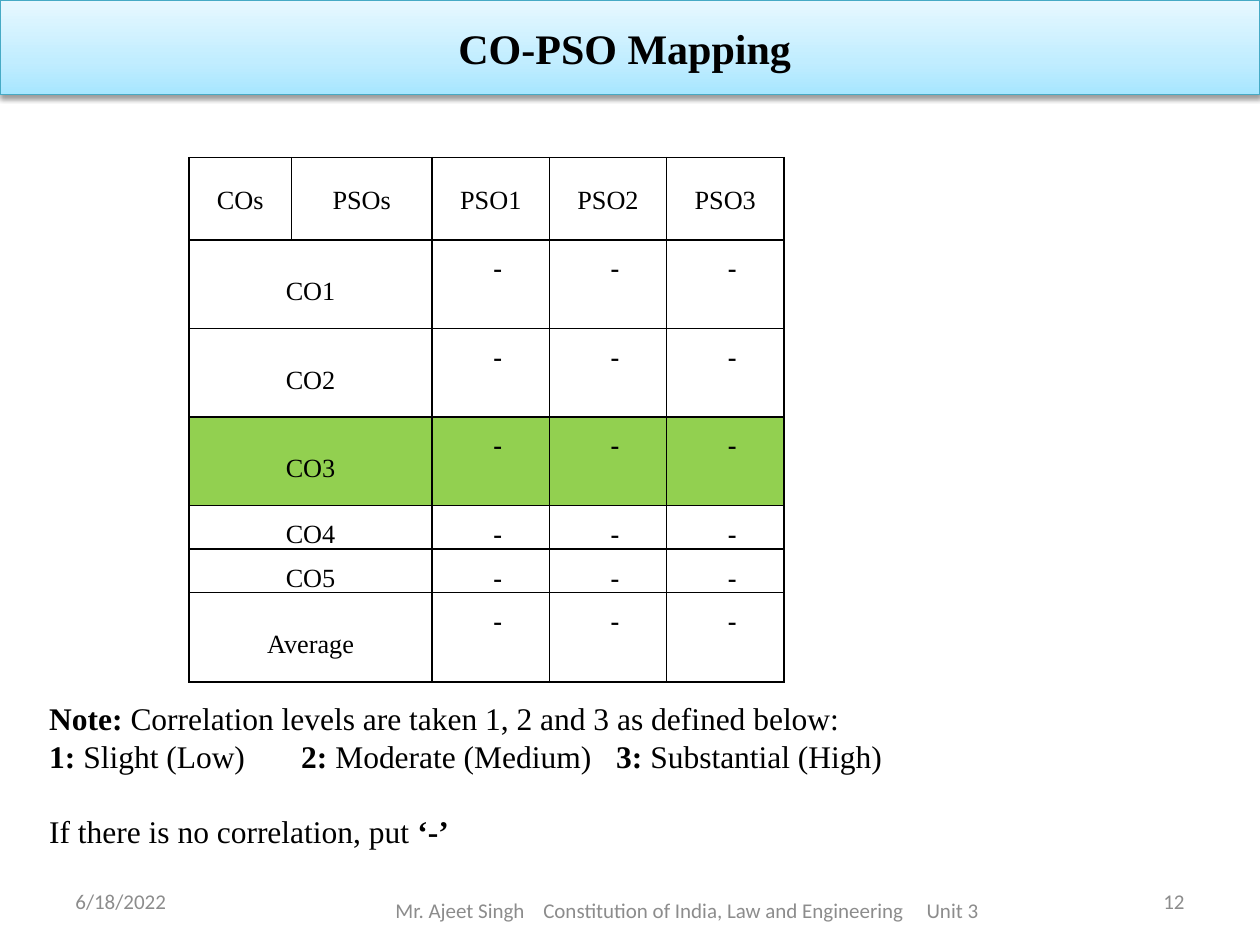
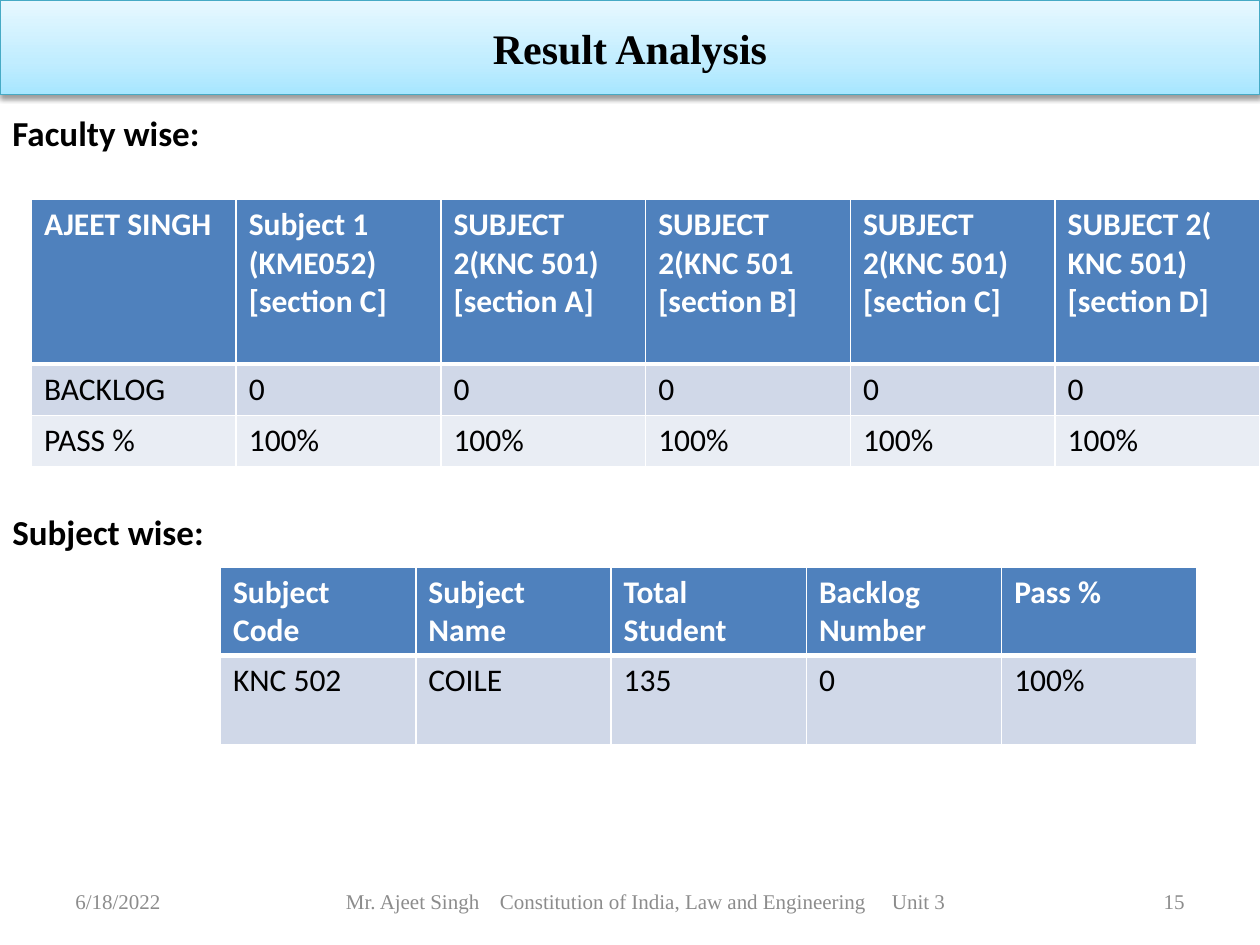
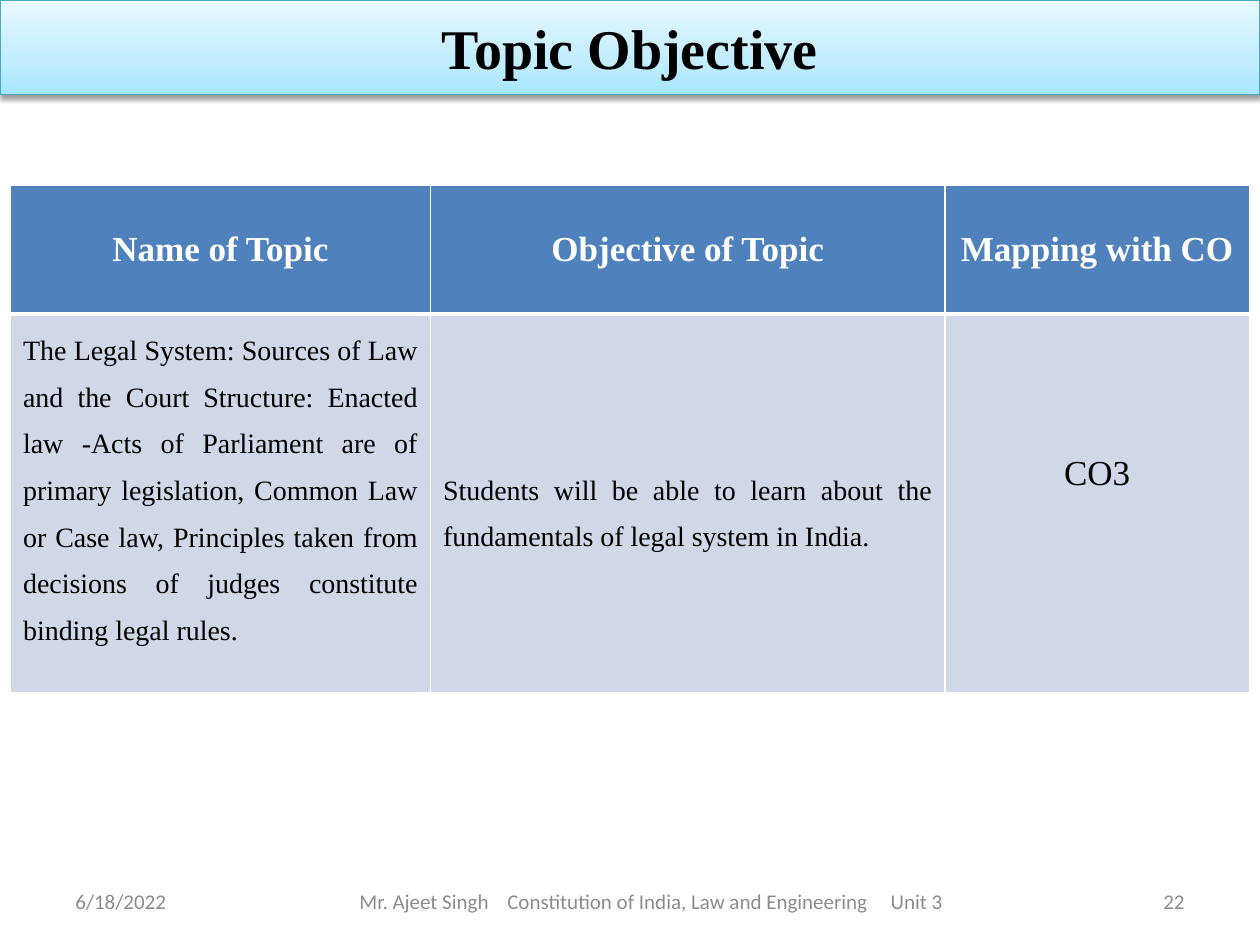
from dataclasses import dataclass, replace
from typing import Any, NamedTuple, Optional, Sequence, Union

from lxml.etree import SubElement
from pptx import Presentation
from pptx.dml.color import RGBColor
from pptx.enum.shapes import MSO_SHAPE
from pptx.enum.text import MSO_ANCHOR, PP_ALIGN
from pptx.oxml.ns import qn
from pptx.util import Pt


@dataclass(frozen=True)
class Theme:
    """Colours, fonts and type sizes of the deck."""

    serif: str = "Times New Roman"
    sans: str = "Calibri"
    black: str = "000000"
    white: str = "FFFFFF"
    grey: str = "8C8C8C"
    green: str = "92D050"
    header: str = "4F81BD"
    band_dark: str = "D0D8E8"
    band_light: str = "E9EDF4"
    title_line: str = "46AAC5"
    title_stops: tuple = ((0, "A7E6FF"), (35, "C1EDFF"), (100, "E7F8FF"))
    title_size: float = 24
    large_title_size: float = 32
    heading_size: float = 20
    text_size: float = 18
    topic_size: float = 16
    mapping_size: float = 15
    footer_size: float = 12


THEME = Theme()


class Frame(NamedTuple):
    """Place of an object, in points."""

    left: float
    top: float
    width: float
    height: float


class Span(NamedTuple):
    """Piece of text with its own weight."""

    text: str
    bold: bool = False


class Footer(NamedTuple):
    """Footer of one slide."""

    font: str
    course: Frame
    inset: float
    tabs: Sequence[float]
    number: str


@dataclass(frozen=True)
class TextStyle:
    """Look of the text in a box or cell, and of the cell's fill."""

    font: str = THEME.sans
    size: float = THEME.text_size
    color: str = THEME.black
    bold: bool = False
    align: PP_ALIGN = PP_ALIGN.LEFT
    anchor: MSO_ANCHOR = MSO_ANCHOR.TOP
    spacing: Optional[float] = None
    indent: float = 0
    tabs: Sequence[float] = ()
    margins: Sequence[float] = (7.2, 3.6, 7.2, 3.6)
    fill: Optional[str] = None


Line = Union[str, Sequence[Span]]


class Entry(NamedTuple):
    """Text of a table cell with its style."""

    text: str
    style: TextStyle


HEADER = TextStyle(color=THEME.white, bold=True, fill=THEME.header)
BODY = TextStyle(fill=THEME.band_dark)
SIDES = ("L", "R", "T", "B")


def assign(target: Any, values: dict) -> None:
    """Set every attribute named in the values."""
    for name, value in values.items():
        setattr(target, name, value)


def margin_values(margins: Sequence[float]) -> dict:
    """Name the four margins in left, top, right, bottom order."""
    names = ("margin_left", "margin_top", "margin_right", "margin_bottom")
    return {name: Pt(value) for name, value in zip(names, margins)}


def add_color(parent: Any, color: str) -> Any:
    """Append a plain colour element."""
    return SubElement(parent, qn("a:srgbClr"), val=color)


def write_lines(text_frame: Any, lines: Sequence[Line], style: TextStyle) -> None:
    """Write one paragraph per line in the given style."""
    for index, line in enumerate(lines):
        para = text_frame.add_paragraph() if index else text_frame.paragraphs[0]
        properties = para._p.get_or_add_pPr()
        if style.indent:
            properties.set("marL", str(Pt(style.indent)))
        if style.tabs:
            tab_list = SubElement(properties, qn("a:tabLst"))
            for stop in style.tabs:
                SubElement(tab_list, qn("a:tab"), pos=str(Pt(stop)), algn="l")
        assign(para, {"alignment": style.align, "line_spacing": style.spacing})
        spans = [Span(line, style.bold)] if isinstance(line, str) else line
        for span in spans:
            run = para.add_run()
            run.text = span.text
            assign(run.font, {"name": style.font, "size": Pt(style.size), "bold": span.bold})
            run.font.color.rgb = RGBColor.from_string(style.color)


def add_text(page: Any, frame: Frame, lines: Sequence[Line], style: TextStyle) -> Any:
    """Add a wrapping text box."""
    box = page.shapes.add_textbox(*map(Pt, frame))
    values = {"word_wrap": True, "vertical_anchor": style.anchor}
    assign(box.text_frame, {**values, **margin_values(style.margins)})
    write_lines(box.text_frame, lines, style)
    return box


def add_title(page: Any, title: str, size: float = THEME.title_size) -> None:
    """Add the gradient title band."""
    band = page.shapes.add_shape(MSO_SHAPE.RECTANGLE, *map(Pt, (0, 0, 720, 54)))
    band.fill.gradient()
    band.fill.gradient_angle = 90
    properties = band._element.spPr
    stops = properties.find(qn("a:gradFill")).find(qn("a:gsLst"))
    for stop in list(stops):
        stops.remove(stop)
    for position, color in THEME.title_stops:
        add_color(SubElement(stops, qn("a:gs"), pos=str(position * 1000)), color)
    band.line.color.rgb = RGBColor.from_string(THEME.title_line)
    band.line.width = Pt(0.75)
    band.shadow.inherit = False
    shadow = SubElement(
        properties.find(qn("a:effectLst")), qn("a:outerShdw"),
        blurRad=str(Pt(3.1)), dist=str(Pt(1.6)), dir="5400000", rotWithShape="0",
    )
    SubElement(add_color(shadow, THEME.black), qn("a:alpha"), val="38000")
    assign(band.text_frame, {"word_wrap": True, "vertical_anchor": MSO_ANCHOR.MIDDLE})
    style = TextStyle(font=THEME.serif, size=size, bold=True, align=PP_ALIGN.CENTER)
    write_lines(band.text_frame, [title], style)


def add_footer(page: Any, footer: Footer) -> None:
    """Add the date, the course line and the slide number."""
    style = TextStyle(font=footer.font, size=THEME.footer_size, color=THEME.grey,
                      anchor=MSO_ANCHOR.MIDDLE)
    course = replace(style, tabs=footer.tabs, margins=(footer.inset, 3.6, 0, 3.6))
    add_text(page, Frame(36, 500.4, 168, 28.8), ["6/18/2022"], style)
    add_text(page, footer.course,
             ["Mr. Ajeet Singh\tConstitution of India, Law and Engineering\tUnit 3"], course)
    add_text(page, Frame(516, 500.4, 168, 28.8), [footer.number],
             replace(style, align=PP_ALIGN.RIGHT))


def set_borders(cell: Any, color: str, widths: dict) -> None:
    """Draw the four borders of a cell, one point wide unless stated."""
    properties = cell._tc.get_or_add_tcPr()
    for side in SIDES:
        line = SubElement(properties, qn(f"a:ln{side}"), w=str(Pt(widths.get(side, 1))))
        add_color(SubElement(line, qn("a:solidFill")), color)


def add_grid(
    page: Any,
    corner: tuple[float, float],
    columns: Sequence[float],
    heights: Sequence[float],
    rows: Sequence[Sequence[Optional[Entry]]],
    border: str = THEME.white,
    header_rule: float = 3,
) -> Any:
    """Add a table; an empty entry joins the cell to its left neighbour."""
    frame = Frame(*corner, sum(columns), sum(heights))
    table = page.shapes.add_table(len(rows), len(columns), *map(Pt, frame)).table
    assign(table, {"first_row": False, "horz_banding": False})
    for column, width in zip(table.columns, columns):
        column.width = Pt(width)
    for row, height in zip(table.rows, heights):
        row.height = Pt(height)
    rules = {0: {"B": header_rule}, 1: {"T": header_rule}}
    for row_index, entries in enumerate(rows):
        for column_index, entry in enumerate(entries):
            cell = table.cell(row_index, column_index)
            set_borders(cell, border, rules.get(row_index, {}))
            if entry is None:
                table.cell(row_index, column_index - 1).merge(cell)
                continue
            style = entry.style
            assign(cell, {"vertical_anchor": style.anchor, **margin_values(style.margins)})
            if style.fill:
                cell.fill.solid()
                cell.fill.fore_color.rgb = RGBColor.from_string(style.fill)
            else:
                cell.fill.background()
            write_lines(cell.text_frame, entry.text.split("\n"), style)
    return table


def style_row(texts: Sequence[str], style: TextStyle) -> list[Entry]:
    """Give every text of a row the same style."""
    return [Entry(text, style) for text in texts]


def build_mapping(page: Any) -> None:
    """Build the slide that maps course outcomes to programme outcomes."""
    add_title(page, "CO-PSO Mapping ")
    heading = TextStyle(font=THEME.serif, size=THEME.mapping_size, align=PP_ALIGN.CENTER,
                        anchor=MSO_ANCHOR.MIDDLE, spacing=1.15, margins=(5, 0, 5, 0))
    rows = [style_row(["COs", "PSOs", "PSO1", "PSO2", "PSO3"], heading)]
    fills = {"CO1": THEME.white, "CO2": THEME.white, "CO3": THEME.green}
    for outcome in ("CO1", "CO2", "CO3", "CO4", "CO5", "Average"):
        label = replace(heading, spacing=1.5, fill=fills.get(outcome))
        dash = replace(label, bold=True, indent=8, anchor=MSO_ANCHOR.TOP)
        rows.append([Entry(outcome, label), None, *style_row(["-"] * 3, dash)])
    add_grid(page, (108, 90), [58.5, 80.5] + [67] * 3,
             [47.2] + [50.6] * 3 + [24.6] * 2 + [51], rows, THEME.black, 1)
    note = [
        [Span("Note: ", True),
         Span("Correlation levels are taken 1, 2 and 3 as defined below:")],
        [Span("1: ", True), Span("Slight (Low)"), Span("\t2: ", True),
         Span("Moderate (Medium)"), Span("\t3: ", True), Span("Substantial (High)")],
        [Span("If there is no correlation, put"), Span(" ‘-’", True)],
    ]
    box = add_text(page, Frame(21, 395.3, 690.5, 94.3), note,
                   TextStyle(font=THEME.serif, align=PP_ALIGN.JUSTIFY,
                             anchor=MSO_ANCHOR.MIDDLE))
    box.text_frame.paragraphs[-1].space_before = Pt(21)
    add_footer(page, Footer(THEME.sans, Frame(174, 500.4, 438, 39.6), 52, (84.5, 303.5), "12"))


def build_results(page: Any) -> None:
    """Build the slide with results by faculty and by subject."""
    add_title(page, "Result Analysis")
    heading = TextStyle(size=THEME.heading_size, bold=True)
    for text, top in (("Faculty wise:", 60), ("Subject wise:", 288)):
        add_text(page, Frame(0, top, 180, 31.5), [text], heading)
    faculty = [
        "AJEET SINGH", "Subject 1 (KME052) [section C]", "SUBJECT 2(KNC 501) [section A]",
        "SUBJECT 2(KNC 501\n[section B]", "SUBJECT 2(KNC 501)\n[section C]",
        "SUBJECT 2(\nKNC 501)\n[section D]",
    ]
    add_grid(page, (18, 114), [117] * 6, [94, 29.3, 29.3], [
        style_row(faculty, HEADER),
        style_row(["BACKLOG"] + ["0"] * 5, BODY),
        style_row(["PASS %"] + ["100%"] * 5, replace(BODY, fill=THEME.band_light)),
    ])
    subject = ["Subject Code", "Subject Name", "Total Student", "Backlog\nNumber", "Pass %"]
    add_grid(page, (126, 324), [111.6] * 5, [50.4, 51], [
        style_row(subject, HEADER),
        style_row(["KNC 502", "COILE", "135", "0", "100%"], BODY),
    ])
    add_footer(page, Footer(THEME.serif, Frame(144, 500.4, 450, 28.8), 53.7, (88, 312), "15"))


def build_objective(page: Any) -> None:
    """Build the slide with the topic and its objective."""
    add_title(page, "Topic Objective", THEME.large_title_size)
    heading = replace(HEADER, font=THEME.serif, size=THEME.heading_size,
                      align=PP_ALIGN.CENTER, anchor=MSO_ANCHOR.MIDDLE)
    topic = replace(BODY, font=THEME.serif, size=THEME.topic_size,
                    align=PP_ALIGN.JUSTIFY, spacing=1.5)
    objective = replace(topic, anchor=MSO_ANCHOR.MIDDLE, margins=(7.2, 7, 7.2, 3.6))
    outcome = replace(BODY, font=THEME.serif, size=THEME.heading_size,
                      align=PP_ALIGN.CENTER, margins=(7.2, 80, 7.2, 3.6))
    add_grid(page, (6, 106), [240, 294, 174], [73.4, 216.6], [
        style_row(["Name of Topic", "Objective of Topic", "Mapping with CO"], heading),
        [
            Entry("The Legal System: Sources of Law and the Court Structure: Enacted law "
                  "-Acts of Parliament are of primary legislation, Common Law or Case law, "
                  "Principles taken from decisions of judges constitute binding legal rules.",
                  topic),
            Entry("Students will be able to learn about the fundamentals of legal system "
                  "in India.", objective),
            Entry("CO3", outcome),
        ],
    ])
    add_footer(page, Footer(THEME.sans, Frame(150, 500.4, 444, 28.8), 55.4, (84.5, 303.5), "22"))


def main() -> None:
    """Build and save the deck."""
    deck = Presentation()
    assign(deck, {"slide_width": Pt(720), "slide_height": Pt(540)})
    for build in (build_mapping, build_results, build_objective):
        build(deck.slides.add_slide(deck.slide_layouts[6]))
    deck.save("out.pptx")


if __name__ == "__main__":
    main()
